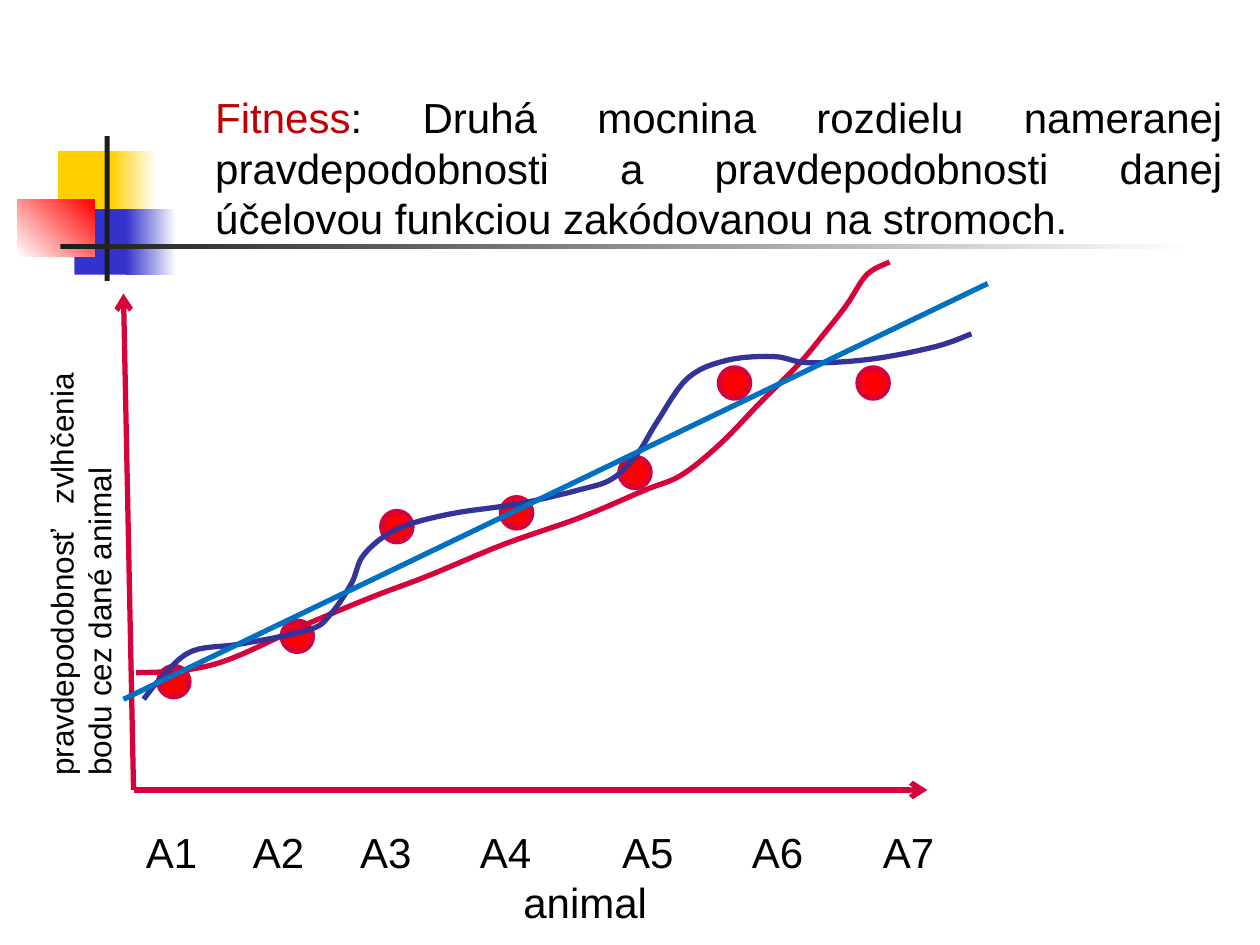
from lxml.etree import SubElement
from pptx import Presentation
from pptx.dml.color import RGBColor
from pptx.enum.shapes import MSO_CONNECTOR, MSO_SHAPE
from pptx.enum.text import PP_ALIGN
from pptx.oxml.ns import qn
from pptx.util import Inches, Pt

BLACK, CRIMSON, RED, WHITE = "000000", "D6023A", "FF0000", "FFFFFF"
YELLOW, BLUE, DARK, INDIGO, AZURE = "FFCF01", "3333CC", "1C1C1C", "333399", "0070C0"
LINE_WIDTH = 3
DOT_SIZE = 0.24
BAR = 0.04
TILE_HEIGHT = 0.52
STEPS = 6

fading_tiles = [
    {"color": YELLOW, "left": 0.46, "top": 1.2, "fade": 0.88, "right": 1.24},
    {"color": BLUE, "left": 0.59, "top": 1.66, "fade": 1, "right": 1.4},
]
red_tile = (0.14, 1.58, 0.61, 0.46)
upright_bar = (0.83, 1.08, BAR, 1.15)
title_bar = (0.48, 1.94, 9, BAR)

fitness = [
    ("Fitness", "C00000"),
    (": Druhá mocnina rozdielu nameranej pravdepodobnosti a pravdepodobnosti "
     "danej účelovou funkciou zakódovanou na stromoch.", BLACK),
]
probability = [("pravdepodobnosť zvlhčenia bodu cez dané animal", BLACK)]
animal_title = [("animal", BLACK)]
animals = [
    {"name": "A1", "tab": 0, "dot": (1.26, 5.29)},
    {"name": "A2", "tab": 0.85, "dot": (2.24, 4.93)},
    {"name": "A3", "tab": 1.7, "dot": (3.03, 4.06)},
    {"name": "A4", "tab": 2.65, "dot": (3.98, 3.95)},
    {"name": "A5", "tab": 3.78, "dot": (4.92, 3.63)},
    {"name": "A6", "tab": 4.81, "dot": (5.71, 2.92)},
    {"name": "A7", "tab": 5.85, "dot": (6.81, 2.92)},
]

origin = (1.06, 6.27)
axis_ends = [(0.98, 2.33), (7.36, 6.27)]
trend = [(0.98, 5.55), (7.84, 2.25)]
fitted_curves = {
    CRIMSON: [(1.08, 5.34), (1.46, 5.32), (1.83, 5.23), (2.4, 4.97), (2.95, 4.74),
              (3.4, 4.57), (4, 4.32), (4.6, 4.11), (5.12, 3.89), (5.41, 3.77),
              (5.72, 3.52), (6.03, 3.2), (6.34, 2.89), (6.54, 2.65), (6.72, 2.42),
              (6.88, 2.18), (7.06, 2.08)],
    INDIGO: [(1.14, 5.55), (1.28, 5.38), (1.52, 5.17), (1.92, 5.11), (2.45, 5),
             (2.62, 4.88), (2.79, 4.63), (2.89, 4.4), (3.15, 4.2), (3.57, 4.08),
             (4.11, 4), (4.59, 3.89), (4.86, 3.8), (5.06, 3.6), (5.22, 3.34),
             (5.46, 3), (5.77, 2.86), (6.14, 2.83), (6.42, 2.88), (6.92, 2.85),
             (7.43, 2.75), (7.71, 2.65)],
}

deck = Presentation()
deck.slide_width, deck.slide_height = Inches(10), Inches(7.5)
slide = deck.slides.add_slide(deck.slide_layouts[6])


def color(code):
    return RGBColor.from_string(code)


def set_line(line, code):
    line.color.rgb = color(code)
    line.width = Pt(LINE_WIDTH)


def add_preset(kind, box, *colors, angle=0):
    preset = slide.shapes.add_shape(kind, *map(Inches, box))
    preset.shadow.inherit = False
    preset.line.fill.background()
    if len(colors) == 1:
        preset.fill.solid()
        preset.fill.fore_color.rgb = color(colors[0])
    else:
        preset.fill.gradient()
        preset.fill.gradient_angle = angle
        for stop, code in zip(preset.fill.gradient_stops, colors):
            stop.color.rgb = color(code)
    return preset


def add_straight(start, end, code, arrow=False):
    straight = slide.shapes.add_connector(
        MSO_CONNECTOR.STRAIGHT, *map(Inches, start + end))
    set_line(straight.line, code)
    if arrow:
        SubElement(straight.line._get_or_add_ln(), qn("a:tailEnd"), type="arrow")
    SubElement(straight._element.spPr, qn("a:effectLst"))


def catmull_rom(before, start, end, after, t):
    return (2 * start + (end - before) * t
            + (2 * before - 5 * start + 4 * end - after) * t ** 2
            + (3 * start - before - 3 * end + after) * t ** 3) / 2


def smooth(knots):
    padded = [knots[0], *knots, knots[-1]]
    points = [knots[0]]
    for neighbours in zip(padded, padded[1:], padded[2:], padded[3:]):
        xs, ys = zip(*neighbours)
        for step in range(1, STEPS + 1):
            t = step / STEPS
            points.append((catmull_rom(*xs, t), catmull_rom(*ys, t)))
    return points


def add_curve(knots, code):
    start, *rest = [tuple(map(Inches, point)) for point in smooth(knots)]
    builder = slide.shapes.build_freeform(*start)
    builder.add_line_segments(rest, close=False)
    curve = builder.convert_to_shape()
    curve.shadow.inherit = False
    curve.fill.background()
    set_line(curve.line, code)


def add_label(box, paragraphs, size, rotation=0):
    label = slide.shapes.add_textbox(*map(Inches, box))
    label.rotation = rotation
    frame = label.text_frame
    frame.word_wrap = True
    for index, (runs, align, stops) in enumerate(paragraphs):
        paragraph = frame.add_paragraph() if index else frame.paragraphs[0]
        paragraph.alignment = align
        if stops:
            tabs = SubElement(paragraph._p.get_or_add_pPr(), qn("a:tabLst"))
            for stop in stops:
                SubElement(tabs, qn("a:tab"), pos=str(Inches(stop)), algn="l")
        for words, code in runs:
            run = paragraph.add_run()
            run.text = words
            run.font.name = "Arial"
            run.font.size = Pt(size)
            run.font.color.rgb = color(code)


for tile in fading_tiles:
    left, top, fade = tile["left"], tile["top"], tile["fade"]
    add_preset(MSO_SHAPE.RECTANGLE, (left, top, fade - left, TILE_HEIGHT), tile["color"])
    add_preset(MSO_SHAPE.RECTANGLE, (fade, top, tile["right"] - fade, TILE_HEIGHT),
               tile["color"], WHITE)
add_preset(MSO_SHAPE.RECTANGLE, red_tile, WHITE, RED, angle=45)
add_preset(MSO_SHAPE.RECTANGLE, upright_bar, DARK)
add_preset(MSO_SHAPE.RECTANGLE, title_bar, DARK, WHITE)

add_label((1.61, 0.68, 8.19, 1.3), [(fitness, PP_ALIGN.JUSTIFY, [])], 24)
for end in axis_ends:
    add_straight(origin, end, CRIMSON, arrow=True)

animal_names = "\t".join(animal["name"] for animal in animals)
add_label((1.06, 6.51, 7.17, 0.9), [
    ([(animal_names, BLACK)], PP_ALIGN.LEFT, [animal["tab"] for animal in animals[1:]]),
    (animal_title, PP_ALIGN.CENTER, []),
], 24)
for animal in animals:
    dot = add_preset(MSO_SHAPE.OVAL, animal["dot"] + (DOT_SIZE, DOT_SIZE), RED)
    set_line(dot.line, CRIMSON)
add_label((-1.06, 4.21, 3.39, 0.7),
          [(probability, PP_ALIGN.JUSTIFY, [])], 18, rotation=270)

for code, knots in fitted_curves.items():
    add_curve(knots, code)
add_straight(*trend, AZURE)

deck.save("out.pptx")
